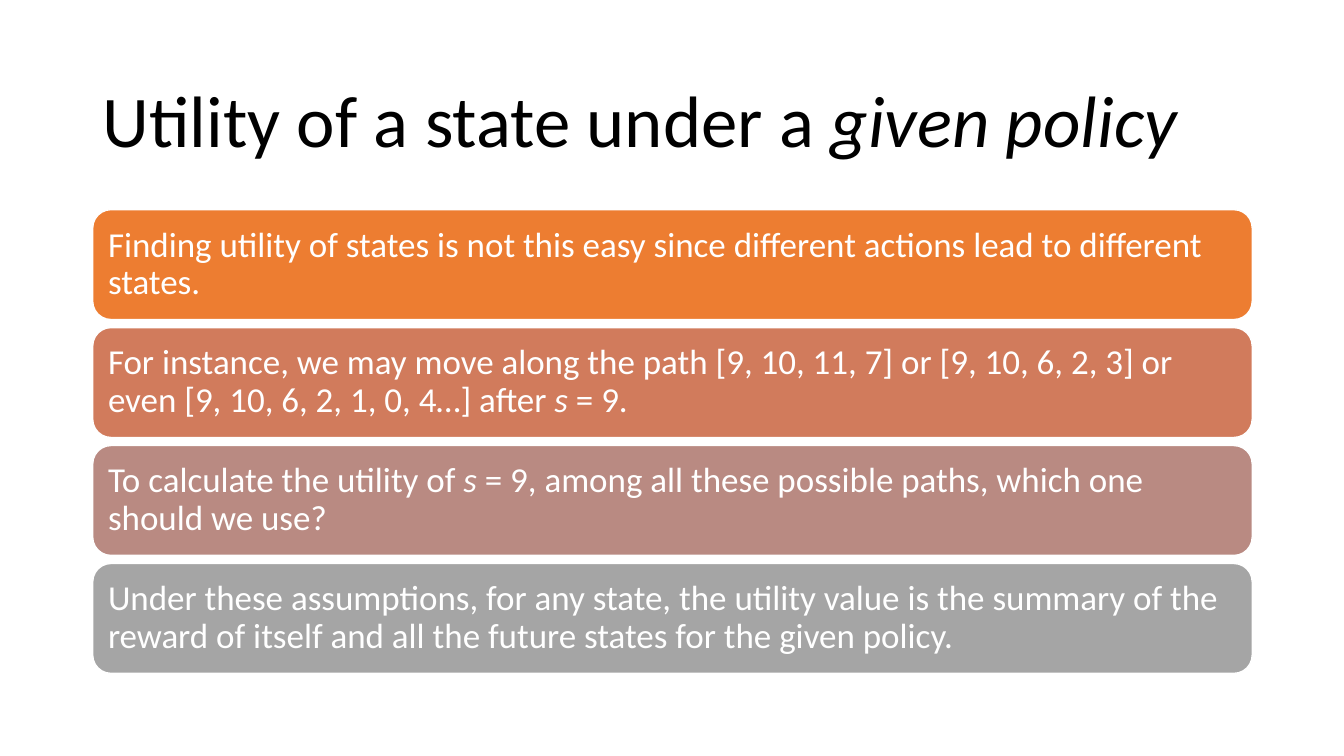
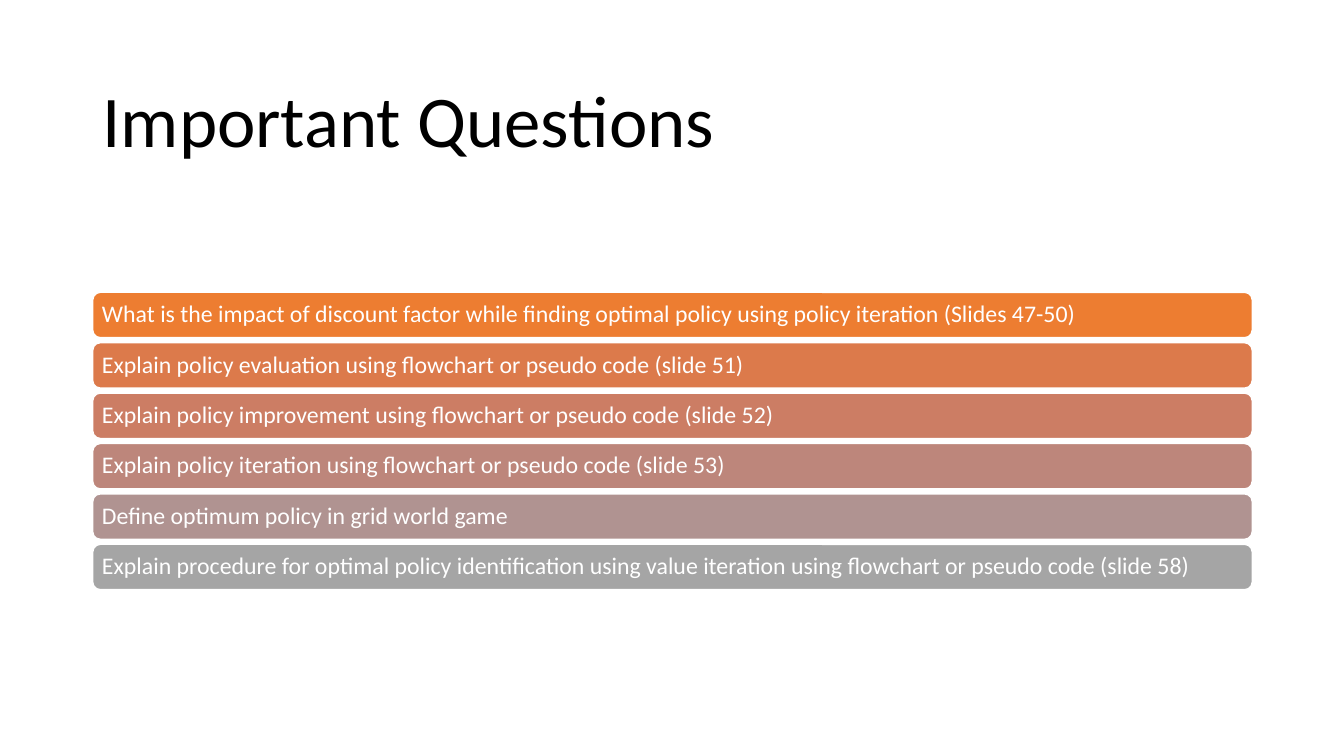
from pptx import Presentation
from pptx import util as u
from pptx.dml.color import RGBColor
from pptx.enum import shapes, text

# Shared look
FONT = "Calibri"
BLACK = RGBColor(0x00, 0x00, 0x00)
WHITE = RGBColor(0xFF, 0xFF, 0xFF)
ORANGE = RGBColor(0xED, 0x7D, 0x31)
COPPER = RGBColor(0xDC, 0x7A, 0x4B)
RUST = RGBColor(0xD1, 0x7B, 0x5C)
CLAY = RGBColor(0xCC, 0x7D, 0x64)
ROSE = RGBColor(0xBD, 0x86, 0x7B)
DUSK = RGBColor(0xB9, 0x8A, 0x82)
MAUVE = RGBColor(0xB0, 0x93, 0x91)
GRAY = RGBColor(0xA5, 0xA5, 0xA5)

LEFT, WIDTH = 0.92, 11.5

# Bar sets: top, height and pitch in inches, then text size and inset
LARGE = {"top": 2.08, "high": 1.09, "pitch": 1.17, "size": 25, "inset": 0.1}
SMALL = {"top": 2.9, "high": 0.45, "pitch": 0.5, "size": 17, "inset": 0.07}

# Text between asterisks is italic
POLICY = [
    (ORANGE, "Finding utility of states is not this easy since different "
             "actions lead to different states."),
    (RUST, "For instance, we may move along the path [9, 10, 11, 7] or "
           "[9, 10, 6, 2, 3] or even [9, 10, 6, 2, 1, 0, 4…] after *s* = 9."),
    (DUSK, "To calculate the utility of *s* = 9, among all these possible "
           "paths, which one should we use?"),
    (GRAY, "Under these assumptions, for any state, the utility value is the "
           "summary of the reward of itself and all the future states for "
           "the given policy."),
]
QUERIES = [
    (ORANGE, "What is the impact of discount factor while finding optimal "
             "policy using policy iteration (Slides 47-50)"),
    (COPPER, "Explain policy evaluation using flowchart or pseudo code (slide 51)"),
    (CLAY, "Explain policy improvement using flowchart or pseudo code (slide 52)"),
    (ROSE, "Explain policy iteration using flowchart or pseudo code (slide 53)"),
    (MAUVE, "Define optimum policy in grid world game"),
    (GRAY, "Explain procedure for optimal policy identification using value "
           "iteration using flowchart or pseudo code (slide 58)"),
]


def assign(obj, values):
    for name, value in values.items():
        setattr(obj, name, value)


def write(shape, words, size, color, inset):
    """Fill a shape with one left-aligned paragraph."""
    frame = shape.text_frame
    gap = u.Inches(inset)
    assign(frame, {"word_wrap": True, "vertical_anchor": text.MSO_ANCHOR.MIDDLE,
                   "margin_left": gap, "margin_right": gap,
                   "margin_top": gap, "margin_bottom": gap})
    para = frame.paragraphs[0]
    assign(para, {"alignment": text.PP_ALIGN.LEFT, "line_spacing": 0.9})
    for i, part in enumerate(words.split("*")):
        if part:
            run = para.add_run()
            run.text = part
            assign(run.font, {"name": FONT, "size": u.Pt(size), "italic": i % 2 == 1})
            run.font.color.rgb = color


def add_title(slide, words):
    box = slide.shapes.add_textbox(*map(u.Inches, (LEFT, 0.61, WIDTH, 1.24)))
    write(box, words, 52, BLACK, 0.1)


def add_bar(slide, top, high, color):
    bar = slide.shapes.add_shape(shapes.MSO_SHAPE.ROUNDED_RECTANGLE,
                                 *map(u.Inches, (LEFT, top, WIDTH, high)))
    bar.shadow.inherit = False
    bar.fill.solid()
    bar.fill.fore_color.rgb = color
    bar.line.color.rgb = WHITE
    bar.line.width = u.Pt(1)
    return bar


def add_page(deck, title, items, style):
    """A title above a stack of evenly spaced bars."""
    slide = deck.slides.add_slide(deck.slide_layouts[6])
    add_title(slide, title)
    for i, (color, words) in enumerate(items):
        bar = add_bar(slide, style["top"] + i * style["pitch"], style["high"], color)
        write(bar, words, style["size"], WHITE, style["inset"])


def main():
    deck = Presentation()
    assign(deck, {"slide_width": u.Inches(13.33), "slide_height": u.Inches(7.5)})
    add_page(deck, "Utility of a state under a *given policy*", POLICY, LARGE)
    add_page(deck, "Important Questions", QUERIES, SMALL)
    deck.save("out.pptx")


if __name__ == "__main__":
    main()
